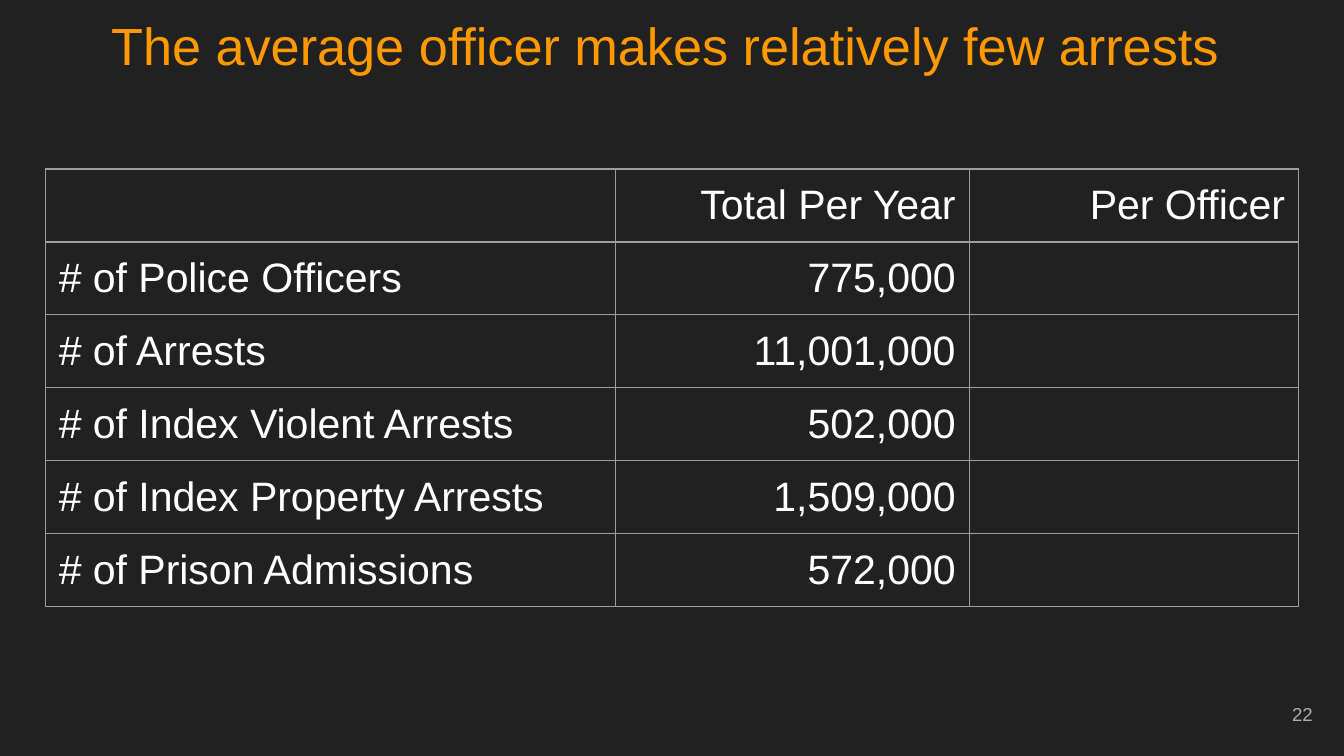
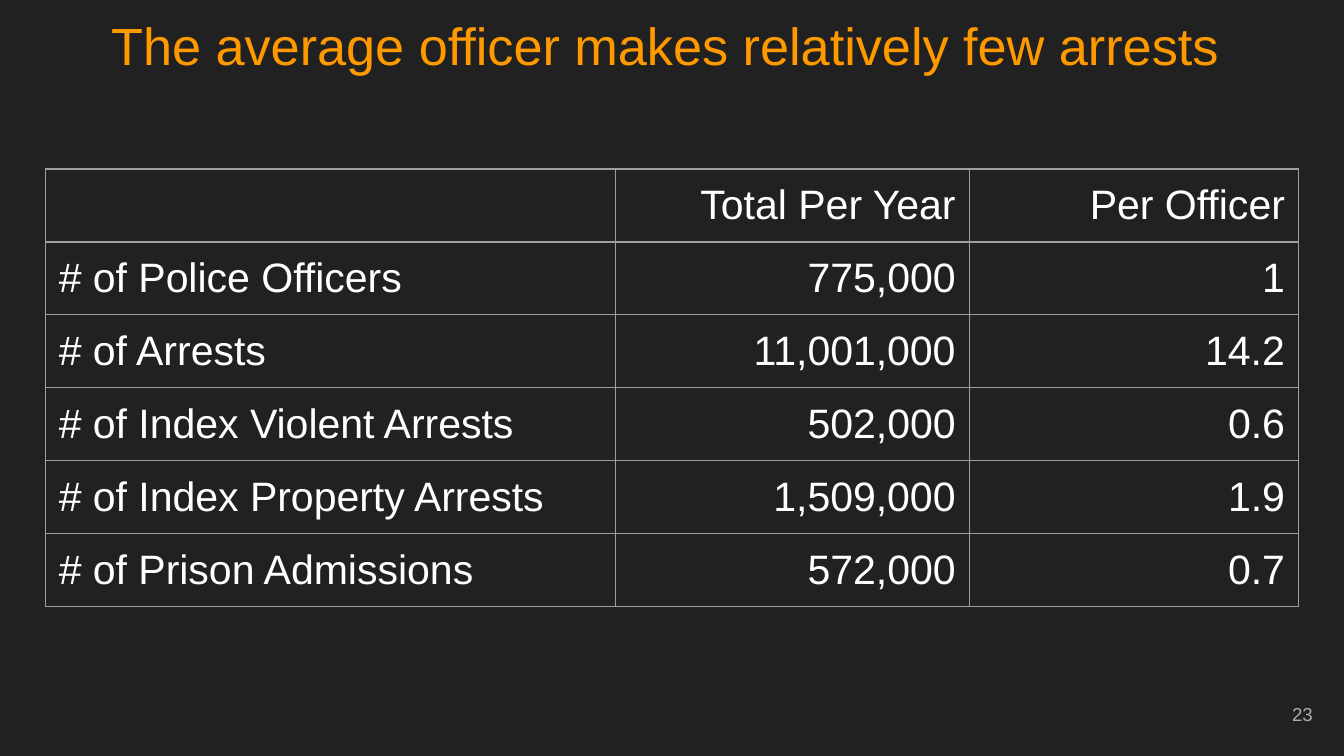
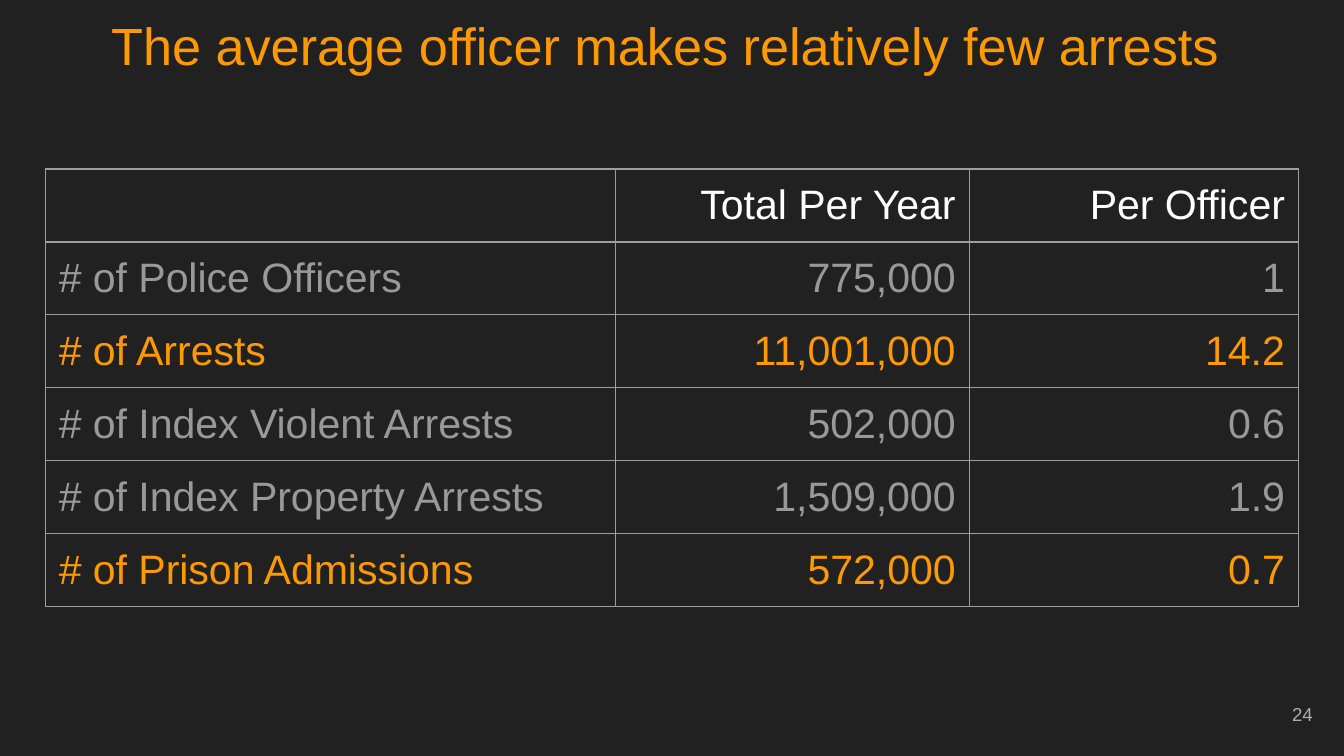
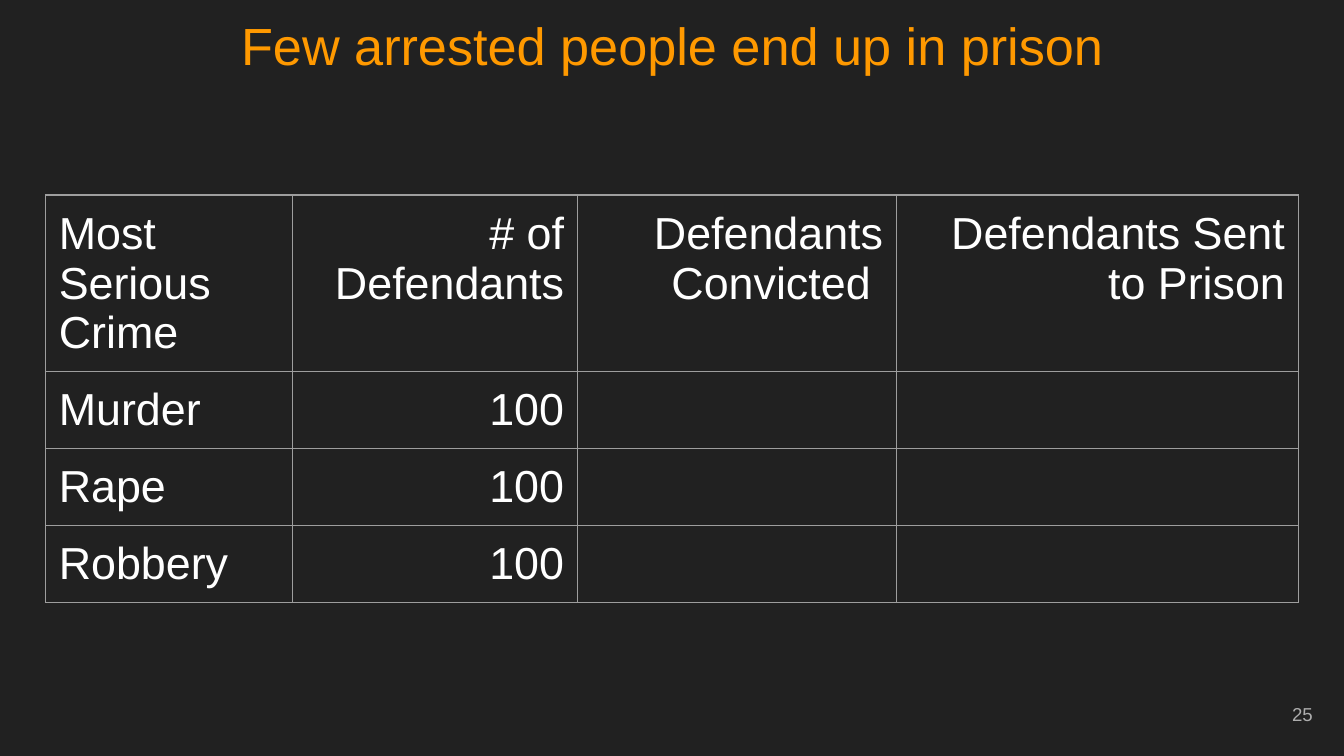
from dataclasses import dataclass

from lxml.etree import SubElement
from pptx import Presentation
from pptx.dml.color import RGBColor
from pptx.enum.text import MSO_ANCHOR, PP_ALIGN
from pptx.oxml.ns import qn
from pptx.util import Pt


@dataclass(frozen=True)
class Theme:
    """Colours, type sizes and spacing shared by all slides."""
    font: str = "Arial"
    back: str = "212121"
    accent: str = "FF9900"
    text: str = "FFFFFF"
    dim: str = "999999"
    rule: str = "9E9E9E"
    page: str = "ADADAD"
    head: float = 28
    small: float = 10
    inset: float = 7.2
    line: float = 0.75


THEME = Theme()
WIDTH, HEIGHT = 720, 405
TITLE_BOX = (0, 0, WIDTH, 45)
PAGE_BOX = (667.2, 367.2, 43.2, 31)
FIRST_PAGE = 22

OFFICER_TITLE = "The average officer makes relatively few arrests "
OFFICER_HEAD = ("", "Total Per Year", "Per Officer")
OFFICER_ROWS = (
    ("# of Police Officers", "775,000", "1"),
    ("# of Arrests", "11,001,000", "14.2"),
    ("# of Index Violent Arrests", "502,000", "0.6"),
    ("# of Index Property Arrests", "1,509,000", "1.9"),
    ("# of Prison Admissions", "572,000", "0.7"),
)
OFFICER_GRID = dict(spot=(24.3, 90.6), widths=(305.3, 189.6, 176.4),
                    heights=(34.5,) + (33,) * 5, size=22)

PRISON_TITLE = "Few arrested people end up in prison"
PRISON_HEAD = ("Most Serious Crime", "# of Defendants",
               "Defendants Convicted ", " Defendants Sent to Prison")
CRIMES = ("Murder", "Rape", "Robbery")
PRISON_GRID = dict(spot=(24.3, 104.5), widths=(132.5, 152.6, 170.9, 215.3),
                   heights=(30,) * 4, size=24)


def write(frame, text, *, size, color, align=PP_ALIGN.LEFT):
    """Put one formatted paragraph in a text frame."""
    par = frame.paragraphs[0]
    par.alignment = align
    run = par.add_run()
    run.text = text
    run.font.name = THEME.font
    run.font.size = Pt(size)
    run.font.color.rgb = RGBColor.from_string(color)


def pad(item):
    """Give a cell or text frame the shared inset on each side."""
    for side in ("left", "top", "right", "bottom"):
        setattr(item, f"margin_{side}", Pt(THEME.inset))


def add_title(slide, box, text):
    """Place and format the title placeholder in its box."""
    title = slide.shapes.title
    title.left, title.top, title.width, title.height = map(Pt, box)
    frame = title.text_frame
    pad(frame)
    frame.word_wrap = True
    frame.vertical_anchor = MSO_ANCHOR.TOP
    write(frame, text, size=THEME.head, color=THEME.accent,
          align=PP_ALIGN.CENTER)


def add_page(slide, box, number):
    """Place the page number in its box."""
    frame = slide.shapes.add_textbox(*map(Pt, box)).text_frame
    pad(frame)
    frame.word_wrap = True
    frame.vertical_anchor = MSO_ANCHOR.MIDDLE
    write(frame, str(number), size=THEME.small, color=THEME.page,
          align=PP_ALIGN.RIGHT)


def rule_cell(cell):
    """Draw the four borders of a cell and clear its fill."""
    props = cell._tc.get_or_add_tcPr()
    for side in "LRTB":
        edge = SubElement(props, qn(f"a:ln{side}"), w=str(Pt(THEME.line)))
        fill = SubElement(edge, qn("a:solidFill"))
        SubElement(fill, qn("a:srgbClr"), val=THEME.rule)
    cell.fill.background()


def add_grid(slide, rows, colors, *, spot, widths, heights, size):
    """Place a ruled table with labels at left and figures at right."""
    box = (*spot, sum(widths), sum(heights))
    grid = slide.shapes.add_table(len(rows), len(widths), *map(Pt, box)).table
    grid.first_row = grid.horz_banding = False
    for col, width in zip(grid.columns, widths):
        col.width = Pt(width)
    for row, height in zip(grid.rows, heights):
        row.height = Pt(height)
    for r, (values, color) in enumerate(zip(rows, colors)):
        for c, value in enumerate(values):
            cell = grid.cell(r, c)
            pad(cell)
            rule_cell(cell)
            if value:
                align = PP_ALIGN.RIGHT if c else PP_ALIGN.LEFT
                write(cell.text_frame, value, size=size, color=color,
                      align=align)


def add_slide(deck, page, title, rows, grid, colors=None):
    """Add a slide with a title, a table and a page number."""
    slide = deck.slides.add_slide(deck.slide_layouts[5])
    fill = slide.background.fill
    fill.solid()
    fill.fore_color.rgb = RGBColor.from_string(THEME.back)
    add_title(slide, TITLE_BOX, title)
    add_grid(slide, rows, colors or [THEME.text] * len(rows), **grid)
    add_page(slide, PAGE_BOX, page)


def main():
    """Build and save the deck."""
    deck = Presentation()
    deck.slide_width, deck.slide_height = Pt(WIDTH), Pt(HEIGHT)
    full = [OFFICER_HEAD, *OFFICER_ROWS]
    blank = [OFFICER_HEAD, *((*row[:2], "") for row in OFFICER_ROWS)]
    prison = [PRISON_HEAD, *((crime, "100", "", "") for crime in CRIMES)]
    marks = [THEME.text, THEME.dim, THEME.accent,
             THEME.dim, THEME.dim, THEME.accent]
    plan = (
        (OFFICER_TITLE, blank, OFFICER_GRID),
        (OFFICER_TITLE, full, OFFICER_GRID),
        (OFFICER_TITLE, full, OFFICER_GRID, marks),
        (PRISON_TITLE, prison, PRISON_GRID),
    )
    for page, parts in enumerate(plan, FIRST_PAGE):
        add_slide(deck, page, *parts)
    deck.save("out.pptx")


if __name__ == "__main__":
    main()
